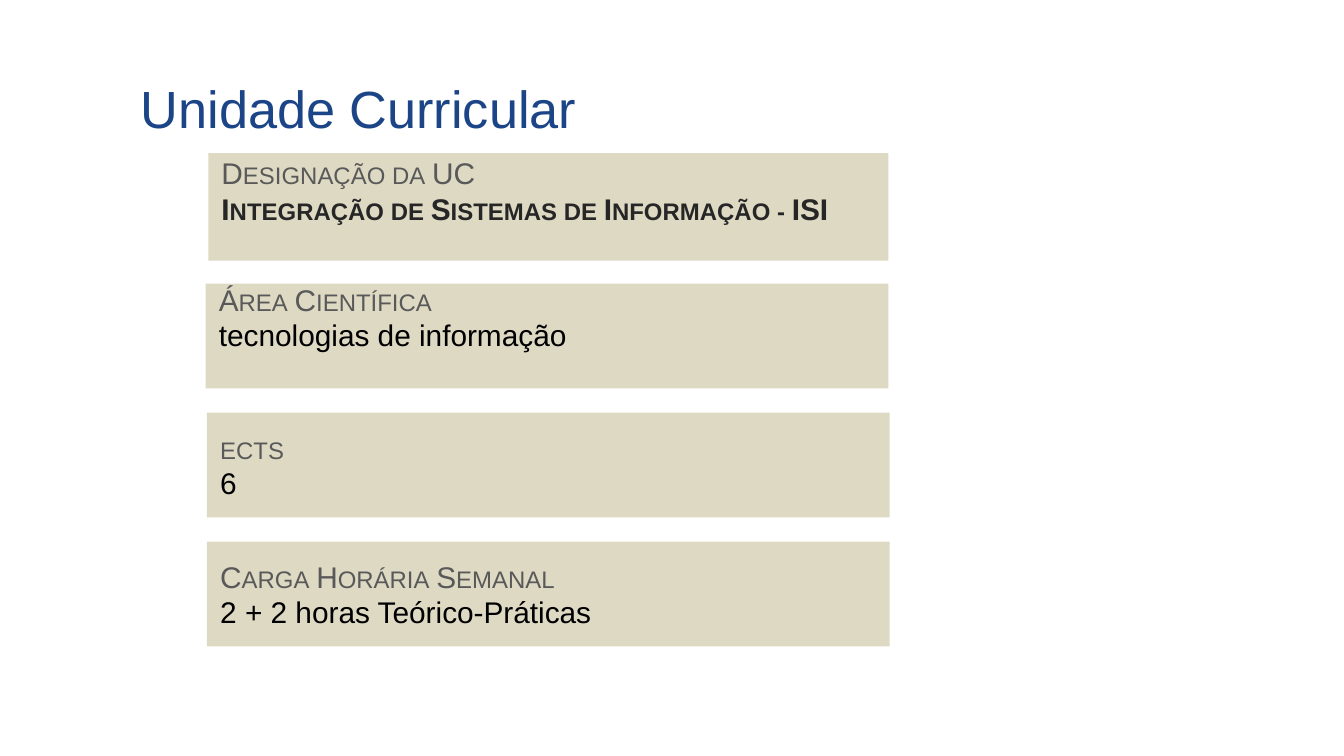
import dataclasses

import pptx
import pptx.dml.color
import pptx.enum.shapes
import pptx.enum.text
import pptx.slide
import pptx.util

Inches = pptx.util.Inches
COLORS = {
    "title": "1C4587",
    "panel": "DDD9C3",
    "label": "595959",
    "value": "000000",
    "course": "262626",
}


@dataclasses.dataclass
class Panel:
    label: str
    value: str
    left: float
    top: float
    width: float = 5.08
    height: float = 0.78
    inset_top: float = 0.05
    inset_bottom: float = 0.05
    is_course: bool = False


PANELS = [
    Panel("Designação da UC", "Integração de Sistemas de Informação - ISI",
          1.55, 1.14, width=5.06, height=0.8,
          inset_top=0.02, inset_bottom=0.26, is_course=True),
    Panel("Área Científica", "tecnologias de informação", 1.53, 2.11,
          inset_top=0, inset_bottom=0.28),
    Panel("ects", "6", 1.54, 3.07),
    Panel("Carga Horária Semanal", "2 + 2 horas Teórico-Práticas", 1.54, 4.03),
]


def rgb(name: str) -> pptx.dml.color.RGBColor:
    return pptx.dml.color.RGBColor.from_string(COLORS[name])


def format_run(run, size: float, color: str, bold: bool = False,
               small_caps: bool = False) -> None:
    run.font.name = "Arial"
    run.font.size = pptx.util.Pt(size)
    run.font.bold = bold
    run.font.color.rgb = rgb(color)
    if small_caps:
        run._r.get_or_add_rPr().set("cap", "small")


def draw_title(slide: pptx.slide.Slide, text: str) -> None:
    title = slide.shapes.add_textbox(
        Inches(0.95), Inches(0.47), Inches(9.32), Inches(0.63))
    frame = title.text_frame
    frame.word_wrap = True
    frame.margin_left = frame.margin_right = Inches(0.1)
    frame.margin_top = frame.margin_bottom = Inches(0.1)
    frame.text = text
    format_run(frame.paragraphs[0].runs[0], 28, "title")


def draw_panel(slide: pptx.slide.Slide, panel: Panel) -> None:
    box = slide.shapes.add_shape(
        pptx.enum.shapes.MSO_SHAPE.RECTANGLE, Inches(panel.left),
        Inches(panel.top), Inches(panel.width), Inches(panel.height))
    box.shadow.inherit = False
    box.fill.solid()
    box.fill.fore_color.rgb = rgb("panel")
    box.line.fill.background()

    frame = box.text_frame
    frame.word_wrap = True
    frame.vertical_anchor = pptx.enum.text.MSO_ANCHOR.MIDDLE
    frame.margin_top = Inches(panel.inset_top)
    frame.margin_bottom = Inches(panel.inset_bottom)

    # Label and value share one paragraph, split by a line break
    paragraph = frame.paragraphs[0]
    paragraph.text = f"{panel.label}\v{panel.value}"
    paragraph.alignment = pptx.enum.text.PP_ALIGN.LEFT
    label, value = paragraph.runs
    format_run(label, 16, "label", small_caps=True)
    format_run(value, 16, "course" if panel.is_course else "value",
               bold=panel.is_course, small_caps=panel.is_course)


def main() -> None:
    deck = pptx.Presentation()
    # Widescreen, 16:9
    deck.slide_width = Inches(10)
    deck.slide_height = deck.slide_width * 9 // 16
    slide = deck.slides.add_slide(deck.slide_layouts[6])

    # Heading
    draw_title(slide, "Unidade Curricular")

    # Course facts
    for panel in PANELS:
        draw_panel(slide, panel)

    deck.save("out.pptx")


if __name__ == "__main__":
    main()
